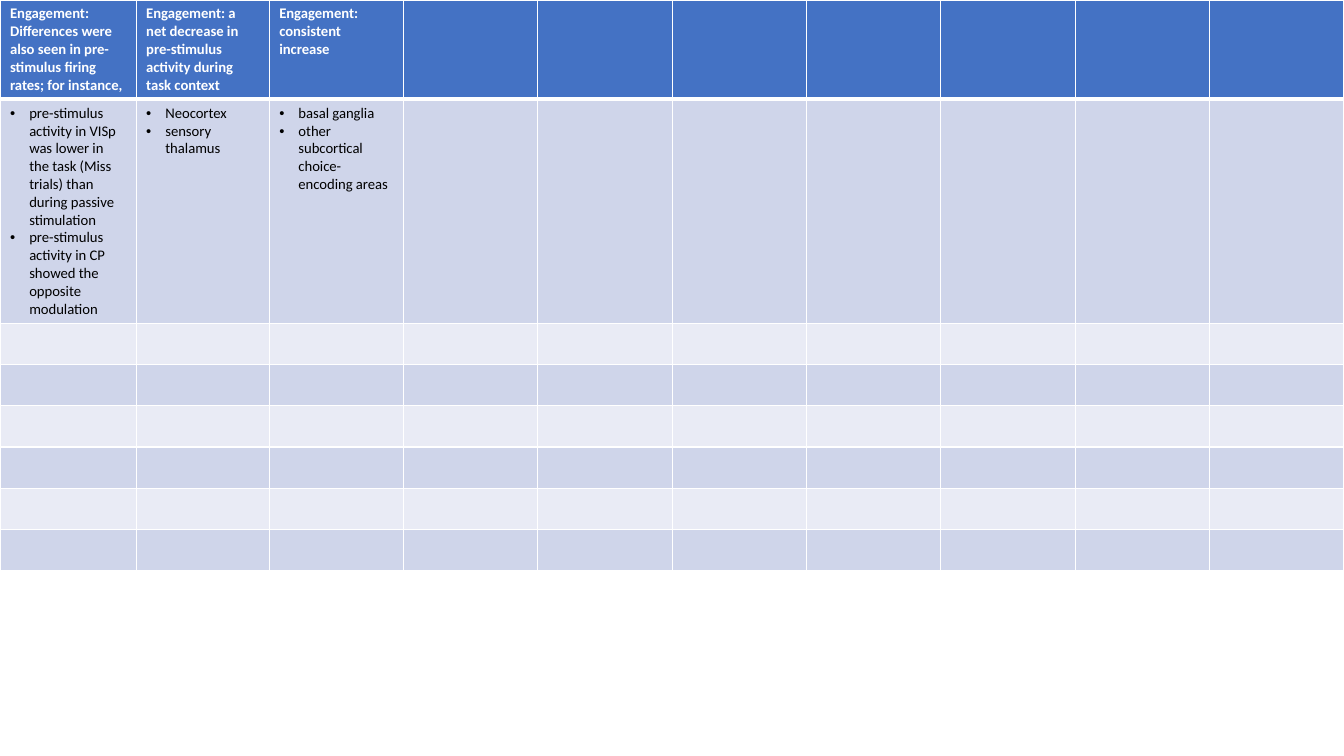
from lxml import etree
from pptx import Presentation
from pptx.dml.color import RGBColor
from pptx.oxml.ns import qn
from pptx.util import Inches, Pt

BLANK_LAYOUT = 6
SLIDE_WIDTH = 13.33
FIRST_WIDTHS = [1.35, 1.32]
COLUMN_COUNT = 10
ROW_COUNT = 8
ROW_HEIGHT = 0.41
TABLE_HEIGHT = 5.61
BULLET_INDENT = 0.19
WHITE, BLACK = "FFFFFF", "000000"
HEADER_FILL = "4472C4"
BAND_FILLS = ["E9EBF5", "CFD5EA"]

HEADINGS = [
    "Engagement: Differences were also seen in pre-stimulus firing rates; for instance,",
    "Engagement: a net decrease in pre-stimulus activity during task context",
    "Engagement: consistent increase",
]
FINDINGS = [
    [
        "pre-stimulus activity in VISp was lower in the task (Miss trials) than during passive stimulation",
        "pre-stimulus activity in CP showed the opposite modulation",
    ],
    ["Neocortex", "sensory thalamus"],
    ["basal ganglia", "other subcortical choice-encoding areas"],
]


def color(value):
    return RGBColor.from_string(value)


def add_borders(cell, row):
    properties = cell._tc.get_or_add_tcPr()
    widths = {"lnL": 1, "lnR": 1, "lnT": 3 if row == 1 else 1, "lnB": 3 if row == 0 else 1}
    for side, width in widths.items():
        line = etree.SubElement(properties, qn(f"a:{side}"), w=str(Pt(width)))
        fill = etree.SubElement(line, qn("a:solidFill"))
        etree.SubElement(fill, qn("a:srgbClr"), val=WHITE)


def add_bullet(paragraph):
    properties = paragraph._p.get_or_add_pPr()
    properties.set("marL", str(Inches(BULLET_INDENT)))
    properties.set("indent", str(-Inches(BULLET_INDENT)))
    font = etree.Element(qn("a:buFont"), typeface="Arial")
    bullet = etree.Element(qn("a:buChar"), char="•")
    properties.insert(0, font)
    properties.insert(1, bullet)


def write_cell(cell, lines, text_color, bold=False, bulleted=False):
    cell.text = "\n".join(lines)
    for paragraph in cell.text_frame.paragraphs:
        paragraph.font.name = "Calibri"
        paragraph.font.size = Pt(10.5)
        paragraph.font.bold = bold
        paragraph.font.color.rgb = color(text_color)
        if bulleted:
            add_bullet(paragraph)


def style_cell(cell, row):
    add_borders(cell, row)
    cell.fill.solid()
    cell.fill.fore_color.rgb = color(BAND_FILLS[row % 2] if row else HEADER_FILL)


def add_engagement_table(slide):
    frame = slide.shapes.add_table(
        ROW_COUNT, COLUMN_COUNT, 0, 0, Inches(SLIDE_WIDTH), Inches(TABLE_HEIGHT)
    )
    table = frame.table
    other_count = COLUMN_COUNT - len(FIRST_WIDTHS)
    other_width = (SLIDE_WIDTH - sum(FIRST_WIDTHS)) / other_count
    for column, width in zip(table.columns, FIRST_WIDTHS + [other_width] * other_count):
        column.width = Inches(width)
    for row, table_row in enumerate(table.rows):
        table_row.height = Inches(ROW_HEIGHT)
        for cell in table_row.cells:
            style_cell(cell, row)
    for column, (heading, findings) in enumerate(zip(HEADINGS, FINDINGS)):
        write_cell(table.cell(0, column), [heading], WHITE, bold=True)
        write_cell(table.cell(1, column), findings, BLACK, bulleted=True)
    frame.height = Inches(TABLE_HEIGHT)


def main():
    presentation = Presentation()
    presentation.slide_width = Inches(SLIDE_WIDTH)
    presentation.slide_height = Inches(7.5)
    slide = presentation.slides.add_slide(presentation.slide_layouts[BLANK_LAYOUT])
    add_engagement_table(slide)
    presentation.save("out.pptx")


if __name__ == "__main__":
    main()
